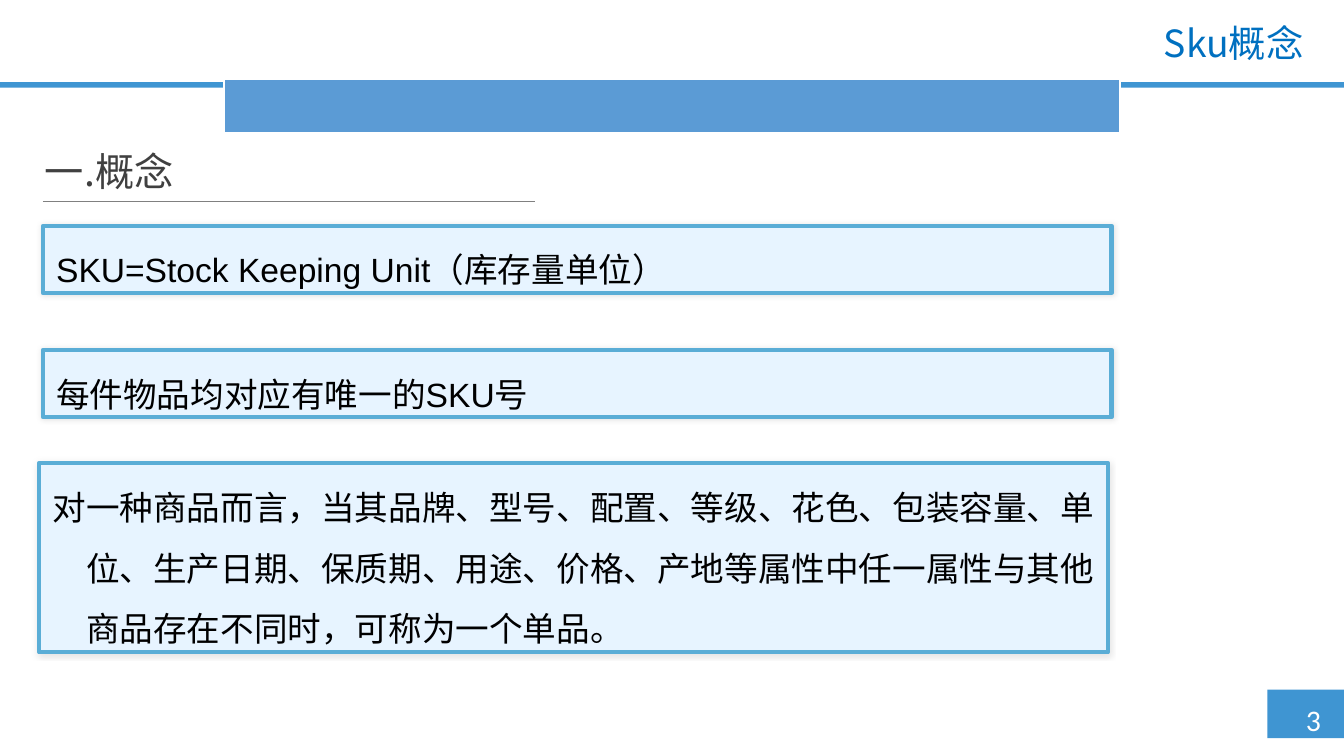
from dataclasses import dataclass

from lxml.etree import SubElement
from pptx import Presentation
from pptx.dml.color import RGBColor as RGB
from pptx.enum.shapes import MSO_CONNECTOR as Line, MSO_SHAPE as Kind
from pptx.enum.text import MSO_ANCHOR as Anchor, MSO_AUTO_SIZE as Fit, PP_ALIGN as Align
from pptx.oxml.ns import qn
from pptx.util import Pt


@dataclass(frozen=True)
class Theme:
    band: str = "3F95D2"
    banner: str = "5B9BD5"
    title: str = "0070C0"
    heading: str = "404040"
    rule: str = "808080"
    panel: str = "E7F4FF"
    edge: str = "5AADD6"
    ink: str = "000000"
    paper: str = "FFFFFF"
    cjk: str = "Noto Sans CJK SC"
    body_font: str = "Arial"
    number_font: str = "Calibri"
    title_size: float = 20
    heading_size: float = 21
    body_size: float = 18
    number_size: float = 16


class Deck:
    def __init__(self, theme):
        self.theme = theme
        self.prs = Presentation()
        self.prs.slide_width, self.prs.slide_height = Pt(720), Pt(405)
        self.slide = self.prs.slides.add_slide(self.prs.slide_layouts[6])
        self.shapes = self.slide.shapes

    def set_words(self, frame, words, font, size, color, align=Align.LEFT):
        frame.auto_size = Fit.NONE
        frame.text = words
        paragraph = frame.paragraphs[0]
        paragraph.alignment = align
        for run in paragraph.runs:
            run.font.name = font
            run.font.size = Pt(size)
            run.font.color.rgb = RGB.from_string(color)
            SubElement(run.font._element, qn("a:ea"), typeface=self.theme.cjk)
        return paragraph

    def block(self, box, fill):
        block = self.shapes.add_shape(Kind.RECTANGLE, *map(Pt, box))
        block.shadow.inherit = False
        block.fill.solid()
        block.fill.fore_color.rgb = RGB.from_string(fill)
        block.line.fill.background()
        return block

    def label(self, box, words, font, size, color, align=Align.LEFT, anchor=Anchor.TOP):
        frame = self.shapes.add_textbox(*map(Pt, box)).text_frame
        frame.word_wrap = True
        frame.vertical_anchor = anchor
        return self.set_words(frame, words, font, size, color, align)

    def rule(self, left, right, y):
        rule = self.shapes.add_connector(Line.STRAIGHT, Pt(left), Pt(y), Pt(right), Pt(y))
        rule.line.color.rgb = RGB.from_string(self.theme.rule)
        rule.line.width = Pt(0.5)
        SubElement(rule._element.spPr, qn("a:effectLst"))

    def banner(self, box):
        table = self.shapes.add_table(1, 1, *map(Pt, box)).table
        cell = table.cell(0, 0)
        cell.fill.solid()
        cell.fill.fore_color.rgb = RGB.from_string(self.theme.banner)
        props = cell._tc.get_or_add_tcPr()
        for index, (side, width) in enumerate((("L", 1), ("R", 1), ("T", 1), ("B", 3))):
            border = props.makeelement(qn(f"a:ln{side}"), {"w": str(Pt(width))})
            props.insert(index, border)
            paint = SubElement(border, qn("a:solidFill"))
            SubElement(paint, qn("a:srgbClr"), val=self.theme.paper)

    def panel(self, box, words):
        theme = self.theme
        panel = self.block(box, theme.panel)
        panel.line.color.rgb = RGB.from_string(theme.edge)
        panel.line.width = Pt(2.25)
        effects = panel._element.spPr.find(qn("a:effectLst"))
        shadow = SubElement(effects, qn("a:outerShdw"), blurRad=str(Pt(3)), dist="0", dir="0")
        tint = SubElement(shadow, qn("a:srgbClr"), val=theme.ink)
        SubElement(tint, qn("a:alpha"), val="10000")
        frame = panel.text_frame
        frame.word_wrap = True
        frame.vertical_anchor = Anchor.MIDDLE
        paragraph = self.set_words(frame, words, theme.body_font, theme.body_size, theme.ink)
        paragraph.line_spacing = 1.5
        props = paragraph._p.get_or_add_pPr()
        props.set("marL", str(Pt(18)))
        props.set("indent", str(Pt(-18)))


def main():
    theme = Theme()
    deck = Deck(theme)
    deck.block((679, 369.5, 41, 26), theme.band)
    deck.block((0, 44, 720, 3), theme.band)
    deck.label((692.5, 372.5, 27.5, 26.5), "3", theme.number_font, theme.number_size, theme.paper)
    title = deck.label((173, 10, 532.5, 29), "Sku概念", theme.cjk, theme.title_size,
                       theme.title, Align.RIGHT, Anchor.MIDDLE)
    title.line_spacing = 0.9
    deck.rule(23, 286.5, 108)
    deck.label((17, 75.5, 253, 58), "一.概念", theme.cjk, theme.heading_size, theme.heading)
    deck.banner((120, 42.5, 480, 29.5))

    statements = (
        (23, 121, 36, "SKU=Stock Keeping Unit（库存量单位）"),
        (23, 187.5, 36, "每件物品均对应有唯一的SKU号"),
        (21, 248, 101.5, "对一种商品而言，当其品牌、型号、配置、等级、花色、包装容量、单位、"
                         "生产日期、保质期、用途、价格、产地等属性中任一属性与其他商品存在不同时，"
                         "可称为一个单品。"),
    )
    for left, top, height, words in statements:
        deck.panel((left, top, 572.5, height), words)
    deck.prs.save("out.pptx")


if __name__ == "__main__":
    main()
